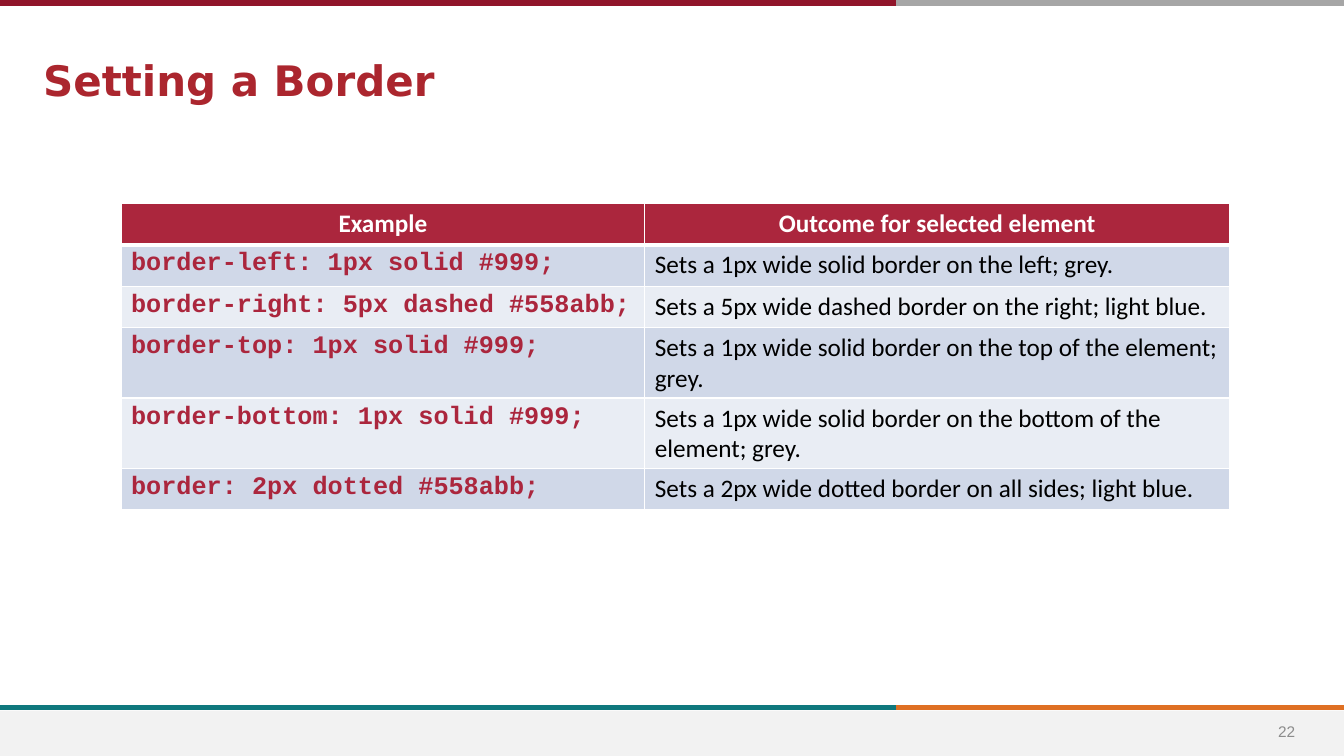
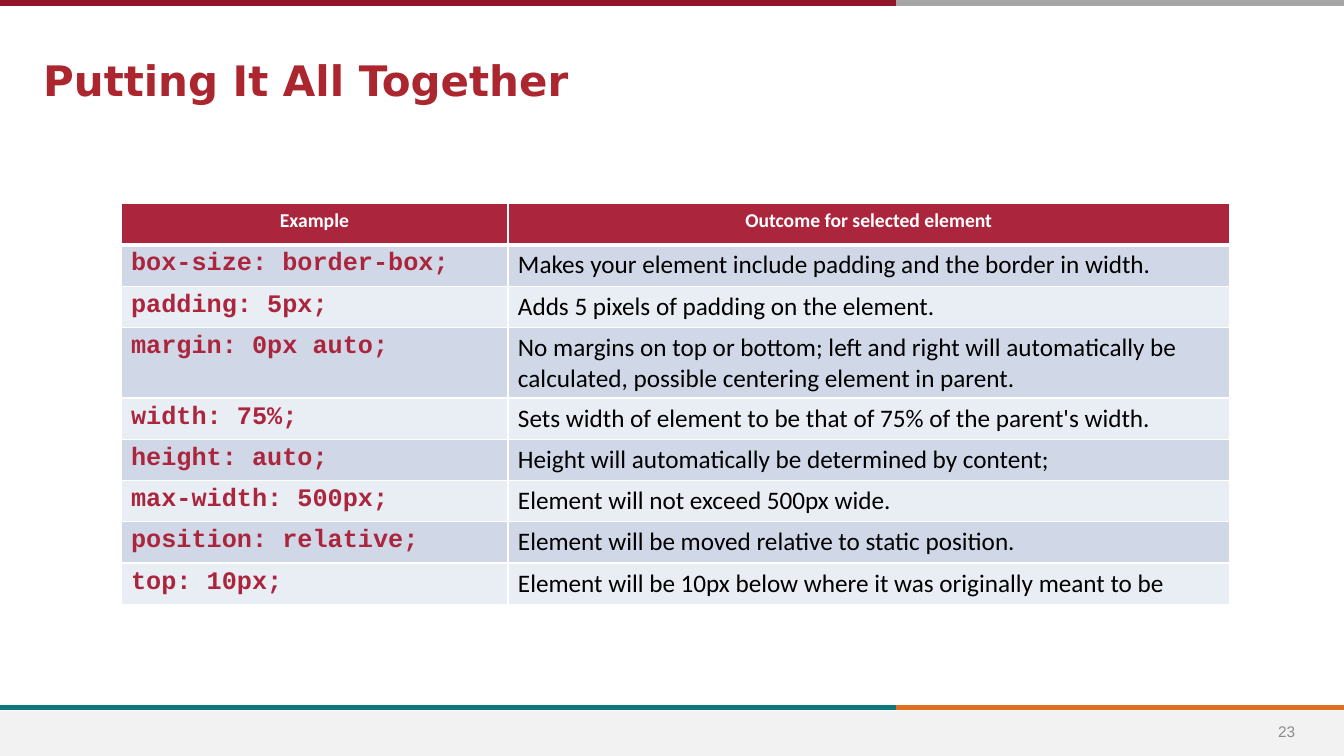
from lxml.etree import SubElement as Sub
from pptx import Presentation
from pptx.dml.color import RGBColor
from pptx.enum.shapes import MSO_CONNECTOR as Link, MSO_SHAPE as Shape
from pptx.enum.text import MSO_ANCHOR as Anchor, PP_ALIGN as Align
from pptx.oxml.ns import qn
from pptx.util import Cm, Pt

WIDTH, HEIGHT = 33.87, 19.05
SPLIT = WIDTH * 2 / 3
HEADS = ("Example", "Outcome for selected element")

BORDERS = [
    ("border-left: 1px solid #999;",
     "Sets a 1px wide solid border on the left; grey."),
    ("border-right: 5px dashed #558abb;",
     "Sets a 5px wide dashed border on the right; light blue."),
    ("border-top: 1px solid #999;",
     "Sets a 1px wide solid border on the top of the element; grey."),
    ("border-bottom: 1px solid #999;",
     "Sets a 1px wide solid border on the bottom of the element; grey."),
    ("border: 2px dotted #558abb;",
     "Sets a 2px wide dotted border on all sides; light blue."),
]
LAYOUT = [
    ("box-size: border-box;",
     "Makes your element include padding and the border in width."),
    ("padding: 5px;", "Adds 5 pixels of padding on the element."),
    ("margin: 0px auto;",
     "No margins on top or bottom; left and right will automatically be "
     "calculated, possible centering element in parent."),
    ("width: 75%;",
     "Sets width of element to be that of 75% of the parent's width."),
    ("height: auto;", "Height will automatically be determined by content;"),
    ("max-width: 500px;", "Element will not exceed 500px wide."),
    ("position: relative;",
     "Element will be moved relative to static position."),
    ("top: 10px;",
     "Element will be 10px below where it was originally meant to be"),
]


def color(code):
    return RGBColor.from_string(code)


def style(para, face, size, code, bold=False, align=Align.LEFT):
    para.alignment = align
    font = para.font
    font.name, font.size, font.bold = face, Pt(size), bold
    font.color.rgb = color(code)


def edge(cell, side, width):
    """Draw one white border of a cell; side is L, R, T or B."""
    line = Sub(cell._tc.get_or_add_tcPr(), qn("a:ln" + side), w=str(Pt(width)))
    Sub(Sub(line, qn("a:solidFill")), qn("a:srgbClr"), val="FFFFFF")


class Deck:
    BRAND = "AB263D"
    BANDS = ("D0D8E8", "E9EDF4")
    ROW = 1.04

    def __init__(self):
        self.show = Presentation()
        self.show.slide_width, self.show.slide_height = Cm(WIDTH), Cm(HEIGHT)
        self.slide = None

    def page(self, title, number):
        """Start a slide with its bands, title and number."""
        self.slide = self.show.slides.add_slide(self.show.slide_layouts[6])
        self.block(0, 17.91, WIDTH, 1.14, "F2F2F2")
        for y, left, right in ((17.83, "0F787D", "DF7023"),
                               (0.07, "90152A", "A6A6A6")):
            self.line(SPLIT, WIDTH, y, right)
            self.line(0, SPLIT, y, left)
        self.text(str(number), (31.55, 17.91, 1.75, 1.02), "Arial", 11,
                  "8C8C8C", align=Align.CENTER)
        self.text(title, (0.84, 1.25, 27.05, 1.5), "DejaVu Sans", 30,
                  "AB262E", bold=True)

    def block(self, x, y, wide, high, code):
        box = self.slide.shapes.add_shape(Shape.RECTANGLE, Cm(x), Cm(y),
                                          Cm(wide), Cm(high))
        box.shadow.inherit = False
        box.fill.solid()
        box.fill.fore_color.rgb = color(code)
        box.line.fill.background()

    def line(self, start, end, y, code):
        rule = self.slide.shapes.add_connector(
            Link.STRAIGHT, Cm(start), Cm(y), Cm(end), Cm(y))
        rule.line.width = Pt(4)
        rule.line.color.rgb = color(code)
        Sub(rule._element.spPr, qn("a:effectLst"))

    def text(self, words, area, face, size, code, **look):
        box = self.slide.shapes.add_textbox(*map(Cm, area))
        frame = box.text_frame
        frame.word_wrap = True
        frame.vertical_anchor = Anchor.MIDDLE
        frame.text = words
        style(frame.paragraphs[0], face, size, code, **look)

    def table(self, rows, widths, head):
        """Add a table of code and outcome; head is the header text size."""
        count = len(rows) + 1
        grid = self.slide.shapes.add_table(
            count, len(widths), Cm(3.05), Cm(5.13), Cm(sum(widths)),
            Cm(self.ROW * count)).table
        for col, wide in zip(grid.columns, widths):
            col.width = Cm(wide)
        looks = (("Courier New", 18, self.BRAND, True),
                 ("Calibri", 18, "000000"))
        for i, row in enumerate([HEADS, *rows]):
            grid.rows[i].height = Cm(self.ROW)
            for j, words in enumerate(row):
                cell = grid.cell(i, j)
                cell.text = words
                para = cell.text_frame.paragraphs[0]
                if i == 0:
                    style(para, "Calibri", head, "FFFFFF", True, Align.CENTER)
                else:
                    style(para, *looks[j])
                for side in "LRTB":
                    thick = (i, side) in ((0, "B"), (1, "T"))
                    edge(cell, side, 3 if thick else 1)
                cell.fill.solid()
                cell.fill.fore_color.rgb = color(
                    self.BANDS[(i - 1) % 2] if i else self.BRAND)


def main():
    deck = Deck()
    deck.page("Setting a Border", 22)
    deck.table(BORDERS, (13.2, 14.74), 18)
    deck.page("Putting It All Together", 23)
    deck.table(LAYOUT, (9.75, 18.19), 14)
    deck.show.save("out.pptx")


if __name__ == "__main__":
    main()
